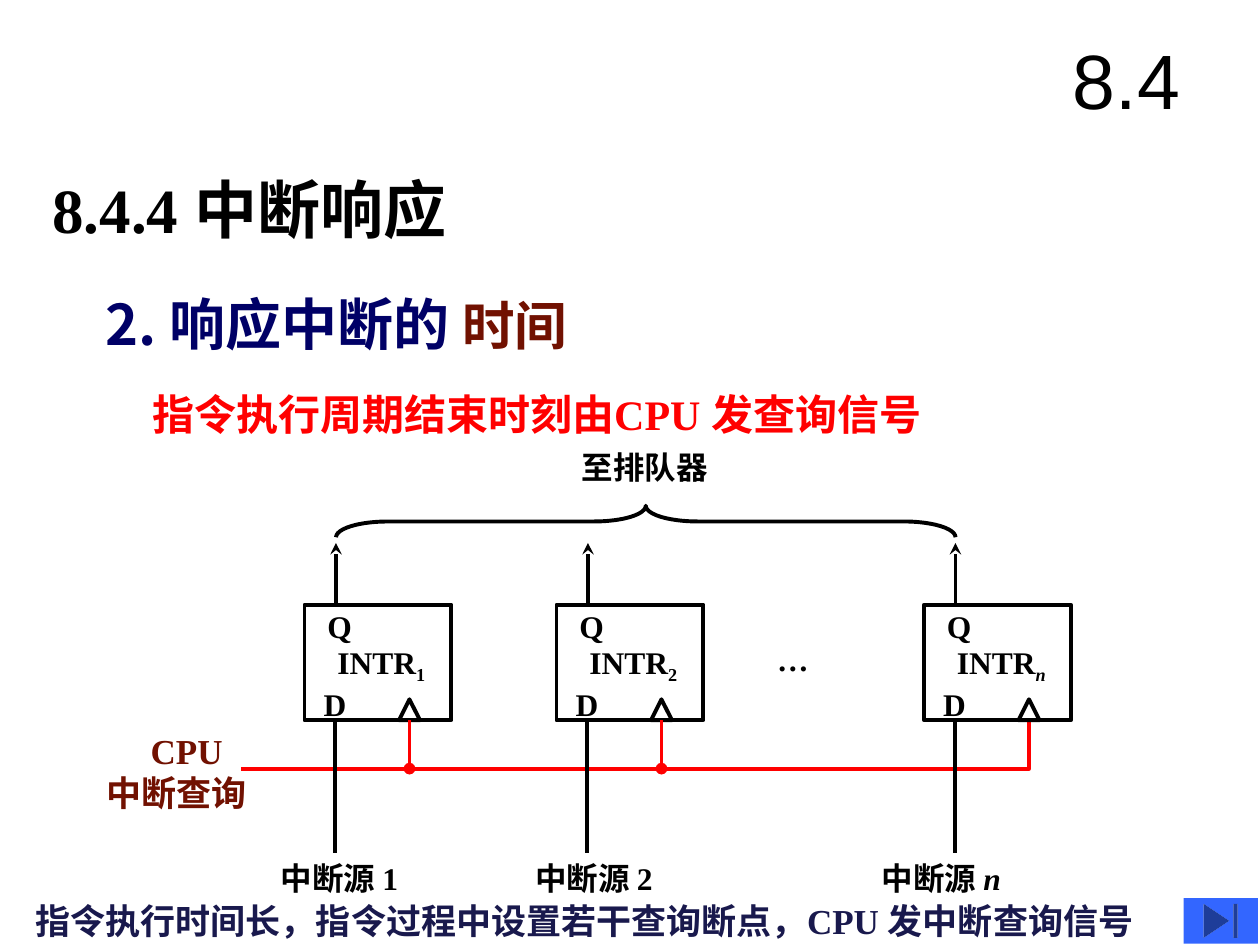
"""Build the slide on interrupt response timing with its request latch diagram."""
from lxml import etree
from pptx import Presentation
from pptx.dml.color import RGBColor
from pptx.enum.shapes import MSO_CONNECTOR, MSO_SHAPE
from pptx.enum.text import MSO_ANCHOR, MSO_AUTO_SIZE
from pptx.oxml.ns import qn
from pptx.util import Pt

STRAIGHT = MSO_CONNECTOR.STRAIGHT
RECTANGLE, TRIANGLE = MSO_SHAPE.RECTANGLE, MSO_SHAPE.ISOSCELES_TRIANGLE
LEFT_BRACE, END_BUTTON = MSO_SHAPE.LEFT_BRACE, MSO_SHAPE.ACTION_BUTTON_END
TOP, MIDDLE = MSO_ANCHOR.TOP, MSO_ANCHOR.MIDDLE
FIXED = MSO_AUTO_SIZE.NONE
SERIF, SANS, CJK = "Times New Roman", "Arial", "Noto Sans CJK SC"
BLACK, RED, BROWN, NAVY, INDIGO = "000000", "FF0000", "711101", "000066", "19194D"


def color(value):
    return RGBColor.from_string(value)


def add_text(paragraphs, left, top, width, height, size=18, ink=BLACK, font=SERIF,
             bold=True, anchor=TOP, inset=7.2):
    """Each paragraph is a list of runs: a string, or a string and its own format."""
    box = slide.shapes.add_textbox(Pt(left), Pt(top), Pt(width), Pt(height))
    frame = box.text_frame
    frame.word_wrap = False
    frame.auto_size = FIXED
    frame.vertical_anchor = anchor
    frame.margin_left = frame.margin_right = Pt(inset)
    frame.margin_top = frame.margin_bottom = Pt(3.6)
    for index, runs in enumerate(paragraphs):
        paragraph = frame.add_paragraph() if index else frame.paragraphs[0]
        for item in runs:
            words, own = (item, {}) if isinstance(item, str) else item
            run = paragraph.add_run()
            run.text = words
            run.font.size = Pt(own.get("size", size))
            run.font.bold = bold
            run.font.italic = own.get("italic", False)
            run.font.color.rgb = color(own.get("ink", ink))
            run.font.name = own.get("font", font)
            properties = run.font._element
            if own.get("subscript"):
                properties.set("baseline", "-25000")
            etree.SubElement(properties, qn("a:ea")).set("typeface", CJK)
    return frame


prs = Presentation()
prs.slide_width, prs.slide_height = Pt(720), Pt(540)
slide = prs.slides.add_slide(prs.slide_layouts[6])
shapes = slide.shapes

add_text([["8.4.4 中断响应"]], 30, 98, 498, 42, size=36, anchor=MIDDLE, inset=0)
add_text([["2. 响应中断的", (" ", {"size": 30, "font": SERIF}),
           ("时间", {"size": 30, "ink": BROWN, "font": SERIF})]],
         60.5, 163.5, 306, 42, size=32, ink=NAVY, font=CJK, anchor=MIDDLE, inset=0)
add_text([["指令执行周期结束时刻由", ("CPU ", {"font": SERIF}), "发查询信号"]],
         87, 215.5, 528, 42, size=24, ink=RED, font=CJK, anchor=MIDDLE, inset=0)
add_text([["8.4"]], 606, 12, 90, 66, size=44, font=SANS, bold=False, anchor=MIDDLE)

latch_top, latch_width, latch_height = 345.6, 84, 66
latch_bottom = latch_top + latch_height
output_offset, input_offset, clock_offset, clock_size = 18, 17.5, 60, 12
arrow_tip, query_level, source_level = 310.3, 439.2, 487.2
latches = [(174, "1", False, 153.4), (318, "2", False, 298.8), (528, "n", True, 496.8)]
first_left, last_left = latches[0][0], latches[-1][0]
strokes = []

brace_span, brace_depth = last_left - first_left, 18
brace_center = first_left + output_offset + brace_span / 2
brace = shapes.add_shape(LEFT_BRACE, Pt(brace_center - brace_depth / 2),
                         Pt(298 - brace_span / 2), Pt(brace_depth), Pt(brace_span))
brace.rotation = 90
brace.adjustments[0] = 1.64
brace.fill.background()
strokes.append((brace, BLACK, None))

query_end = last_left + clock_offset
route = shapes.build_freeform(Pt(138), Pt(query_level))
route.add_line_segments([(Pt(query_end), Pt(query_level)),
                         (Pt(query_end), Pt(latch_bottom))], close=False)
query_line = route.convert_to_shape()
query_line.fill.background()
strokes.append((query_line, RED, None))

for left, number, italic, source_left in latches:
    add_text([["INTR", (number, {"italic": italic, "subscript": True})]],
             left + 11.7, 363.6, 65, 32)
    add_text([["D"]], left + 3.8, 388, 27, 29)
    add_text([["Q"]], left + 6, 343.5, 28, 29)
    add_text([["中断源 ", (number, {"italic": italic})]], source_left, source_level, 86, 29)

    clock_left = left + clock_offset - clock_size / 2
    for kind, x, y, width, height in [
            (RECTANGLE, left, latch_top, latch_width, latch_height),
            (TRIANGLE, clock_left, latch_bottom - clock_size, clock_size, clock_size)]:
        outline = shapes.add_shape(kind, Pt(x), Pt(y), Pt(width), Pt(height))
        outline.fill.background()
        strokes.append((outline, BLACK, None))

    wires = [(output_offset, latch_top, arrow_tip, BLACK, "stealth"),
             (input_offset, latch_bottom, source_level, BLACK, None)]
    if left != last_left:
        wires.append((clock_offset, latch_bottom, query_level, RED, "oval"))
    for offset, start, end, ink, tail in wires:
        wire = shapes.add_connector(STRAIGHT, Pt(left + offset), Pt(start),
                                    Pt(left + offset), Pt(end))
        strokes.append((wire, ink, tail))

for stroke, ink, tail in strokes:
    stroke.line.width = Pt(2.25)
    stroke.line.color.rgb = color(ink)
    properties = stroke._element.spPr
    if tail:
        etree.SubElement(properties.find(qn("a:ln")), qn("a:tailEnd")).set("type", tail)
    etree.SubElement(properties, qn("a:effectLst"))

add_text([["…"]], 437, 362, 32, 29)
add_text([["至排队器"]], 325.5, 252.7, 86, 29)
query_label = add_text([["CPU"], ["中断查询"]], 54, 413.3, 94, 55.5, size=20, ink=BROWN)
query_label.paragraphs[0]._p.get_or_add_pPr().set("marL", str(Pt(25)))

end_button = shapes.add_shape(END_BUTTON, Pt(676.3), Pt(513.2), Pt(42.5), Pt(26))
end_button.shadow.inherit = False
end_button.fill.solid()
end_button.fill.fore_color.rgb = color("3366FF")
end_button.line.fill.background()

add_text([["指令执行时间长，指令过程中设置若干查询断点，", ("CPU ", {"font": SERIF}),
           "发中断查询信号"]],
         20.3, 505, 528, 42, size=20, ink=INDIGO, font=CJK, anchor=MIDDLE, inset=0)

prs.save("out.pptx")
